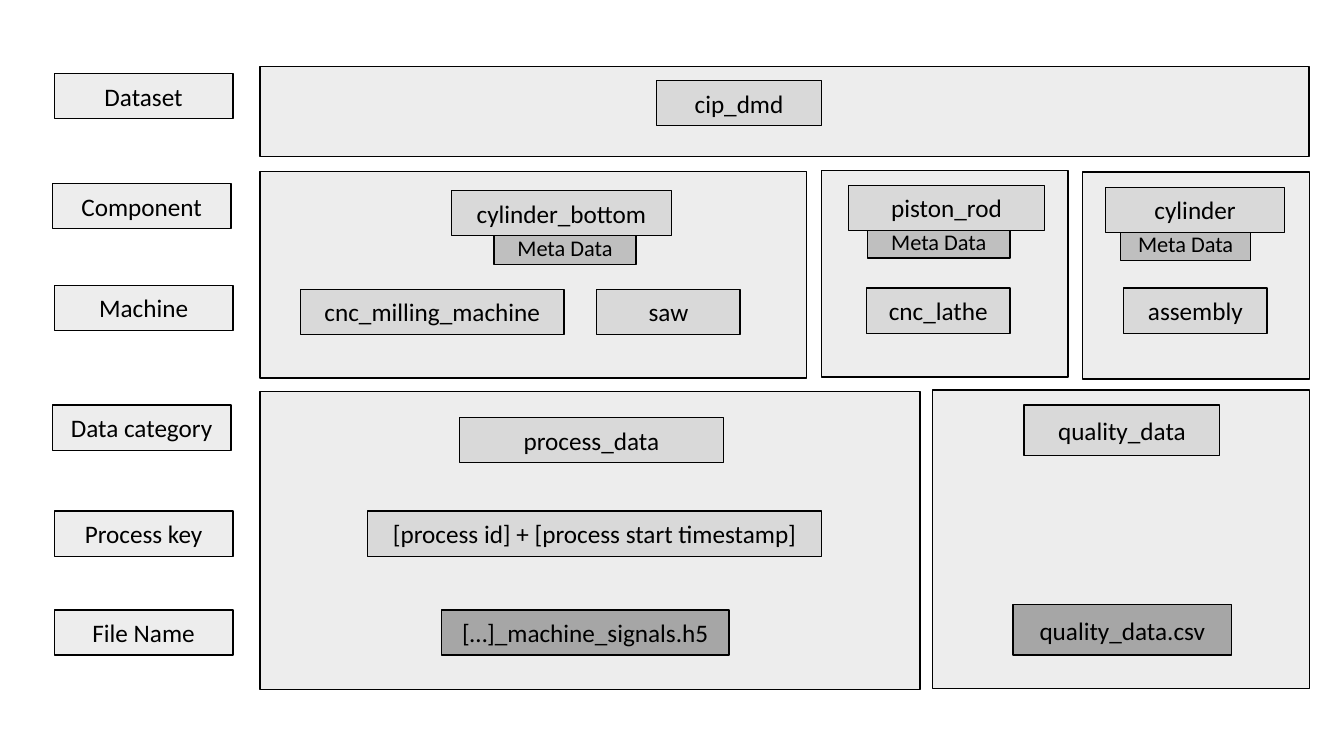
from dataclasses import dataclass

from pptx import Presentation
from pptx.dml.color import RGBColor
from pptx.enum.shapes import MSO_SHAPE as Shape
from pptx.enum.text import MSO_ANCHOR as Anchor, PP_ALIGN as Align
from pptx.shapes.autoshape import Shape as AutoShape
from pptx.slide import Slide
from pptx.util import Cm, Pt

COLOURS = {
    "panel": "EDEDED",
    "label": "EDEDED",
    "folder": "D9D9D9",
    "meta": "BFBFBF",
    "file": "A6A6A6",
    "ink": "000000",
}
FONT = "Calibri"
BOX_HEIGHT = 1.14
QUALITY_HEIGHT = 1.27
META_HEIGHT = 0.84
LABEL_WIDTH = 4.5
COMPONENT_HEIGHT = 5.21
CATEGORY_HEIGHT = 7.52


@dataclass(frozen=True)
class Box:
    """A rectangle of the hierarchy, measured in centimetres."""
    role: str
    left: float
    top: float
    width: float
    height: float = BOX_HEIGHT
    text: str = ""


PANELS = [
    Box("panel", 6.55, 1.68, 26.44, 2.26),
    Box("panel", 6.55, 4.32, 13.77, COMPONENT_HEIGHT),
    Box("panel", 20.7, 4.29, 6.22, COMPONENT_HEIGHT),
    Box("panel", 27.28, 4.34, 5.72, COMPONENT_HEIGHT),
    Box("panel", 6.55, 9.86, 16.64, CATEGORY_HEIGHT),
    Box("panel", 23.5, 9.83, 9.5, CATEGORY_HEIGHT),
]

LEVELS = [
    Box("label", left, top, LABEL_WIDTH, text=level)
    for level, left, top in [
        ("Dataset", 1.37, 1.85),
        ("Component", 1.32, 4.62),
        ("Machine", 1.37, 7.19),
        ("Data category", 1.32, 10.21),
        ("Process key", 1.37, 12.88),
        ("File Name", 1.37, 15.37),
    ]
]

META_TABS = [
    Box("meta", left, top, width, META_HEIGHT, "Meta Data")
    for left, top, width in [
        (12.45, 5.82, 3.58),
        (21.87, 5.66, 3.58),
        (28.24, 5.72, 3.28),
    ]
]

FOLDERS = [
    Box("folder", 16.54, 2.03, 4.17, text="cip_dmd"),
    Box("folder", 11.38, 4.8, 5.54, text="cylinder_bottom"),
    Box("folder", 21.39, 4.67, 4.93, text="piston_rod"),
    Box("folder", 27.86, 4.72, 4.52, text="cylinder"),
    Box("folder", 7.57, 7.29, 6.65, text="cnc_milling_machine"),
    Box("folder", 15.04, 7.29, 3.61, text="saw"),
    Box("folder", 21.84, 7.26, 3.61, text="cnc_lathe"),
    Box("folder", 28.32, 7.26, 3.61, text="assembly"),
    Box("folder", 11.58, 10.52, 6.65, text="process_data"),
    Box("folder", 25.81, 10.21, 4.93, QUALITY_HEIGHT, "quality_data"),
    Box("folder", 9.27, 12.88, 11.43, text="[process id] + [process start timestamp]"),
]

FILES = [
    Box("file", 11.13, 15.37, 7.24, text="[…]_machine_signals.h5"),
    Box("file", 25.53, 15.24, 5.51, QUALITY_HEIGHT, "quality_data.csv"),
]


def colour(role: str) -> RGBColor:
    return RGBColor.from_string(COLOURS[role])


def write_text(shape: AutoShape, text: str, *, size: int = 18, ink: str = "ink",
               align: Align = Align.CENTER) -> None:
    frame = shape.text_frame
    frame.word_wrap = True
    frame.vertical_anchor = Anchor.MIDDLE
    paragraph = frame.paragraphs[0]
    paragraph.alignment = align
    run = paragraph.add_run()
    run.text = text
    run.font.name = FONT
    run.font.size = Pt(size)
    run.font.color.rgb = colour(ink)


def draw_box(slide: Slide, box: Box) -> None:
    rectangle = slide.shapes.add_shape(
        Shape.RECTANGLE, Cm(box.left), Cm(box.top), Cm(box.width), Cm(box.height))
    rectangle.shadow.inherit = False
    rectangle.fill.solid()
    rectangle.fill.fore_color.rgb = colour(box.role)
    rectangle.line.color.rgb = colour("ink")
    rectangle.line.width = Pt(1)
    if box.text:
        write_text(rectangle, box.text, size=16 if box.role == "meta" else 18)


def main() -> None:
    deck = Presentation()
    deck.slide_width, deck.slide_height = Cm(33.87), Cm(19.05)
    slide = deck.slides.add_slide(deck.slide_layouts.get_by_name("Blank"))
    # Each meta data tab is tucked behind the folder above it.
    for box in PANELS + LEVELS + META_TABS + FOLDERS + FILES:
        draw_box(slide, box)
    deck.save("out.pptx")


if __name__ == "__main__":
    main()
